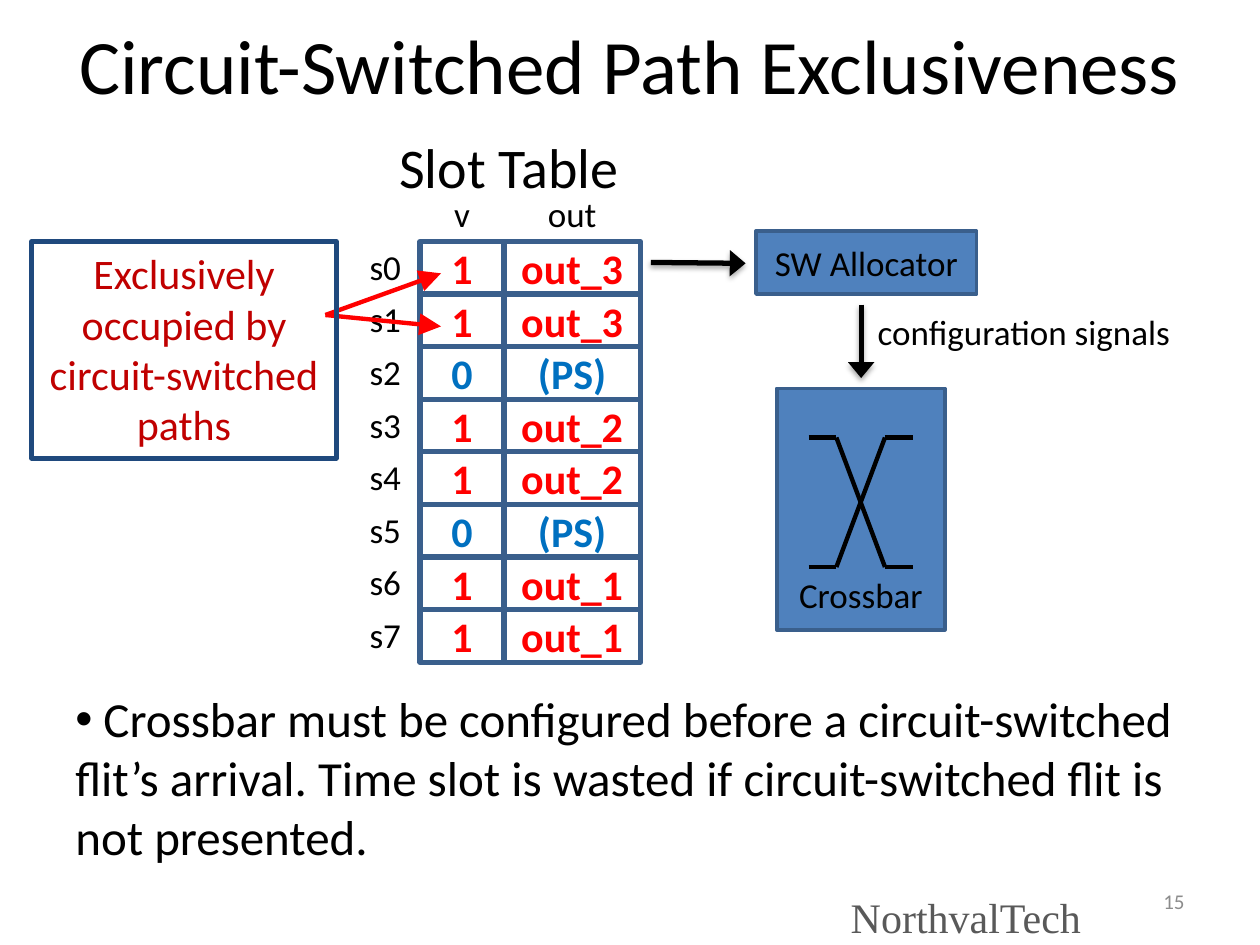
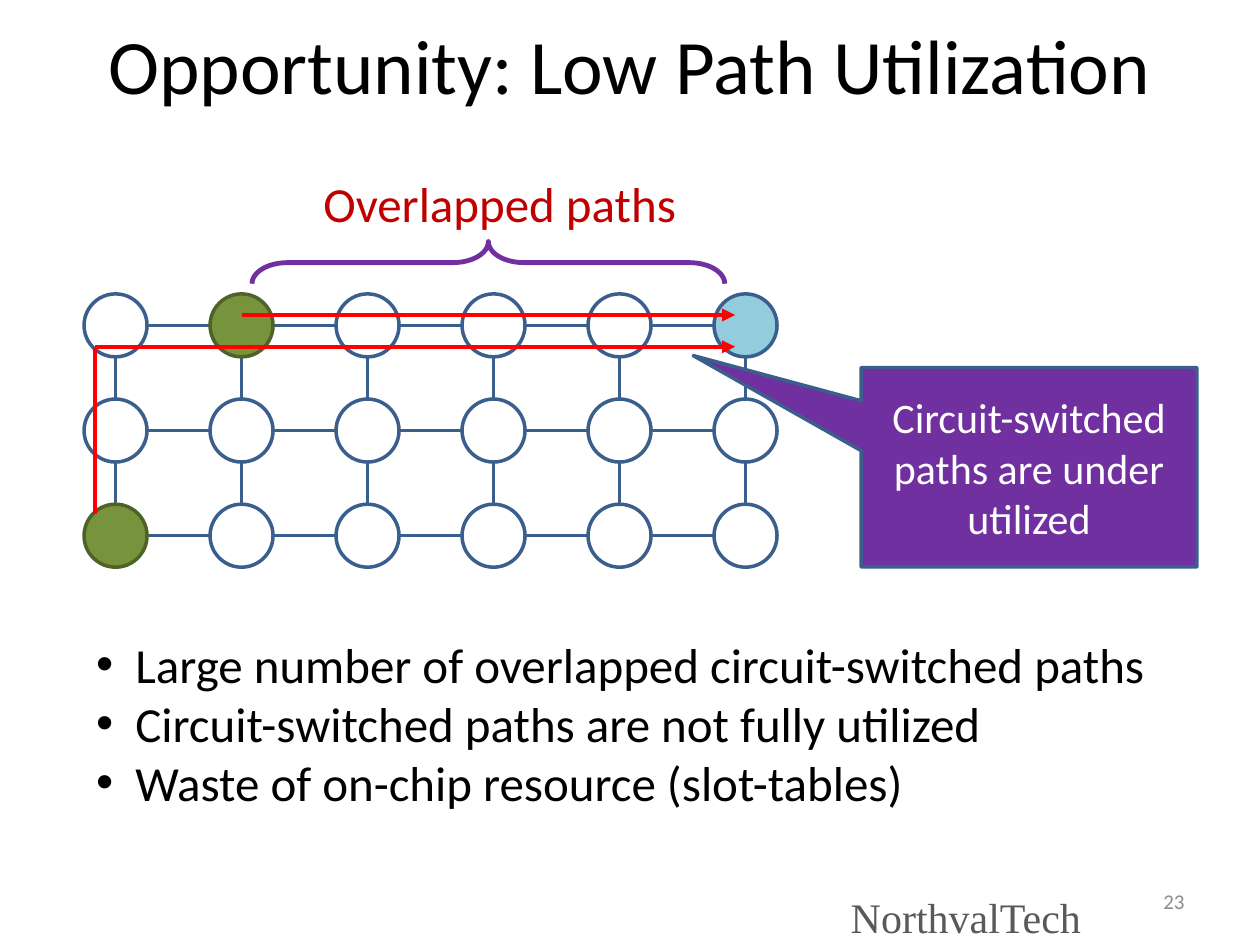
from itertools import pairwise, product

from lxml import etree
from pptx import Presentation
from pptx import util as u
from pptx.dml.color import RGBColor
from pptx.enum import shapes, text
from pptx.oxml import ns

BLACK = RGBColor(0x00, 0x00, 0x00)
WHITE = RGBColor(0xFF, 0xFF, 0xFF)
RED = RGBColor(0xFF, 0x00, 0x00)
DARK_RED = RGBColor(0xC0, 0x00, 0x00)
SKY = RGBColor(0x00, 0x70, 0xC0)
BLUE = RGBColor(0x4F, 0x81, 0xBD)
EDGE = RGBColor(0x3A, 0x5F, 0x8C)
NAVY = RGBColor(0x1F, 0x49, 0x7D)
AQUA = RGBColor(0x93, 0xCD, 0xDD)
GREEN = RGBColor(0x77, 0x93, 0x3C)
DARK_GREEN = RGBColor(0x4F, 0x62, 0x28)
PURPLE = RGBColor(0x70, 0x30, 0xA0)
GREY = RGBColor(0x8C, 0x8C, 0x8C)
DARK_GREY = RGBColor(0x59, 0x59, 0x59)

LEFT, CENTER, RIGHT = text.PP_ALIGN.LEFT, text.PP_ALIGN.CENTER, text.PP_ALIGN.RIGHT
TOP, MIDDLE, BOTTOM = (text.MSO_ANCHOR.TOP, text.MSO_ANCHOR.MIDDLE,
                       text.MSO_ANCHOR.BOTTOM)
KIND = shapes.MSO_SHAPE


def lengths(values):
    """Turn centimetre numbers into lengths."""
    return [u.Cm(value) for value in values]


def add_xml(parent, tag, **values):
    """Append a drawing element with the given attributes."""
    return etree.SubElement(parent, ns.qn(f"a:{tag}"), values)


class Lecture:
    """Holds the deck style and the current slide."""

    def __init__(self):
        """Start an empty 4:3 deck."""
        self.deck = Presentation()
        self.deck.slide_width, self.deck.slide_height = lengths((25.4, 19.05))
        self.page = None

    def start(self, title, number):
        """Add a slide with its title and footer."""
        self.page = self.deck.slides.add_slide(self.deck.slide_layouts[6])
        self.label((0, 0.43, 25.4, 1.7), title, 44, align=CENTER, anchor=MIDDLE)
        self.label((18.21, 17.65, 5.92, 1.02), number, 12, GREY,
                   align=RIGHT, anchor=MIDDLE)
        footer = self.label((17.15, 17.98, 5.72, 1.07), "NorthvalTech", 24,
                            DARK_GREY, font="Times New Roman")
        for side in ("left", "top", "right", "bottom"):
            setattr(footer.text_frame, f"margin_{side}", 0)

    def caption(self, box, words, size, color=BLACK, align=LEFT, anchor=TOP,
                bold=False, font="Calibri", wrap=True, hang=None):
        """Fill a box with paragraphs; a hang width makes them bullets."""
        frame = box.text_frame
        frame.word_wrap, frame.vertical_anchor = wrap, anchor
        frame.text = words
        look = {"size": u.Pt(size), "bold": bold, "name": font}
        for para in frame.paragraphs:
            para.alignment = align
            if hang is not None:
                props = para._p.get_or_add_pPr()
                props.set("marL", str(u.Cm(hang)))
                props.set("indent", str(-u.Cm(hang)))
                add_xml(props, "buFont", typeface="Arial")
                add_xml(props, "buChar", char="•")
            for span in para.runs:
                for name, value in look.items():
                    setattr(span.font, name, value)
                span.font.color.rgb = color

    def label(self, place, words, size, color=BLACK, **layout):
        """Add a text box."""
        box = self.page.shapes.add_textbox(*lengths(place))
        self.caption(box, words, size, color, **layout)
        return box

    def shape(self, place, kind=KIND.RECTANGLE, fill=None, edge=EDGE, width=2,
              adjust=()):
        """Add an outlined preset shape, unfilled unless a fill is given."""
        box = self.page.shapes.add_shape(kind, *lengths(place))
        box.shadow.inherit = False
        if fill is None:
            box.fill.background()
        else:
            box.fill.solid()
            box.fill.fore_color.rgb = fill
        box.line.color.rgb, box.line.width = edge, u.Pt(width)
        for index, value in enumerate(adjust):
            box.adjustments[index] = value
        return box

    def line(self, start, end, color=BLACK, width=2.5, head=None, shadow=False):
        """Add a line; head gives the arrowhead width and length."""
        line = self.page.shapes.add_connector(
            shapes.MSO_CONNECTOR.STRAIGHT, *lengths((*start, *end)))
        line.line.color.rgb, line.line.width = color, u.Pt(width)
        if head:
            add_xml(line.line._get_or_add_ln(), "tailEnd", type="triangle",
                    w=head[0], len=head[1])
        effects = add_xml(line._element.spPr, "effectLst")
        if shadow:
            cast = add_xml(effects, "outerShdw", blurRad=str(u.Pt(3.1)),
                           dist=str(u.Pt(1.8)), dir="5400000", rotWithShape="0")
            add_xml(add_xml(cast, "srgbClr", val=str(BLACK)), "alpha", val="35000")


def draw_slot_table(lecture):
    """Draw the slot rows with their labels and headings."""
    lecture.label((7.62, 2.54, 5.28, 1.63), "Slot Table", 32, align=CENTER)
    lecture.label((8.68, 3.76, 1.27, 1.12), "v", 20, align=CENTER)
    lecture.label((10.16, 3.76, 2.75, 1.12), "out", 20, align=CENTER)
    outputs = ["out_3", "out_3", "(PS)", "out_2", "out_2", "(PS)", "out_1", "out_1"]
    height = 1.06
    for slot, output in enumerate(outputs):
        top = 4.87 + slot * height
        free = output == "(PS)"
        lecture.label((7.2, top - 0.05, 1.27, 1.12), f"s{slot}", 20)
        for left, width, words in ((8.47, 1.69, "0" if free else "1"),
                                   (10.16, 2.75, output)):
            cell = lecture.shape((left, top, width, height), width=3)
            lecture.caption(cell, words, 24, SKY if free else RED, align=CENTER,
                            anchor=MIDDLE, bold=True)


def draw_switch(lecture):
    """Draw the allocator, the crossbar and the arrows between them."""
    crossbar = lecture.shape((15.66, 7.83, 3.39, 4.87), fill=BLUE)
    lecture.caption(crossbar, "Crossbar", 20, align=CENTER, anchor=BOTTOM)
    crossbar.text_frame.margin_bottom = u.Cm(0.29)
    high, low = 8.82, 11.43
    for first, last in ((high, low), (low, high)):
        wire = zip((16.3, 16.86, 17.84, 18.41), (first, first, last, last))
        for start, end in pairwise(wire):
            lecture.line(start, end)
    allocator = lecture.shape((15.24, 4.66, 4.45, 1.27), fill=BLUE)
    lecture.caption(allocator, "SW Allocator", 20, align=CENTER, anchor=MIDDLE)
    lecture.label((17.36, 6.14, 6.56, 1.12), "configuration signals", 20, align=CENTER)
    for start, end in (((13.12, 5.29), (15.03, 5.31)), ((17.36, 6.14), (17.36, 7.62))):
        lecture.line(start, end, width=3, head=("lg", "med"), shadow=True)


def build_exclusiveness(lecture):
    """Build the slide on path exclusiveness."""
    lecture.start("Circuit-Switched Path Exclusiveness", "15")
    draw_slot_table(lecture)
    draw_switch(lecture)
    lecture.label(
        (1.27, 13.76, 23.5, 3.84),
        " Crossbar must be configured before a circuit-switched flit’s arrival. "
        "Time slot is wasted if circuit-switched flit is not presented.", 28, hang=0)
    for tip in (5.51, 6.58):
        lecture.line((6.56, 6.35), (8.89, tip), RED, head=("lg", "lg"))
    note = lecture.shape((0.64, 4.87, 6.14, 4.37), edge=NAVY, width=2.75)
    lecture.caption(note, "Exclusively occupied by circuit-switched paths", 24,
                    DARK_RED, align=CENTER)


def draw_mesh(lecture):
    """Draw the mesh of links and its nodes."""
    left, top, across, down, node = 2.33, 6.56, 2.54, 2.12, 1.27
    for row, column in product(range(2), range(5)):
        lecture.shape((left + column * across, top + row * down, across, down),
                      fill=WHITE)
    special = {(0, 1): (GREEN, DARK_GREEN), (2, 0): (GREEN, DARK_GREEN),
               (0, 5): (AQUA, EDGE)}
    for row, column in product(range(3), range(6)):
        fill, edge = special.get((row, column), (WHITE, EDGE))
        lecture.shape((left + column * across - node / 2,
                       top + row * down - node / 2, node, node),
                      KIND.OVAL, fill, edge)


def build_utilization(lecture):
    """Build the slide on low path utilization."""
    lecture.start("Opportunity: Low Path Utilization", "23")
    draw_mesh(lecture)
    corner = (1.91, 6.99)
    lecture.line((4.87, 6.35), (14.82, 6.35), RED, head=("med", "med"))
    lecture.line(corner, (14.82, 6.99), RED, head=("med", "med"))
    lecture.line(corner, (1.91, 10.37), RED)
    callout = lecture.shape((17.36, 7.41, 6.77, 4.02), KIND.RECTANGULAR_CALLOUT,
                            PURPLE, adjust=(-1, -0.56))
    lecture.caption(callout, "Circuit-switched paths are under utilized", 24, WHITE,
                    align=CENTER, anchor=MIDDLE)
    lecture.label((1.69, 12.67, 22.43, 3.84),
                  "Large number of overlapped circuit-switched paths\n"
                  "Circuit-switched paths are not fully utilized\n"
                  "Waste of on-chip resource (slot-tables)", 28, hang=0.79)
    brace = lecture.shape((9.42, 0.53, 0.85, 9.53), KIND.LEFT_BRACE, edge=PURPLE,
                          width=2.75, adjust=(0.84, 0.5))
    brace.rotation = 90
    lecture.label((6.27, 3.38, 7.7, 1.45), "Overlapped paths", 28, DARK_RED, wrap=False)


def main():
    """Build and save both slides."""
    lecture = Lecture()
    build_exclusiveness(lecture)
    build_utilization(lecture)
    lecture.deck.save("out.pptx")


if __name__ == "__main__":
    main()
